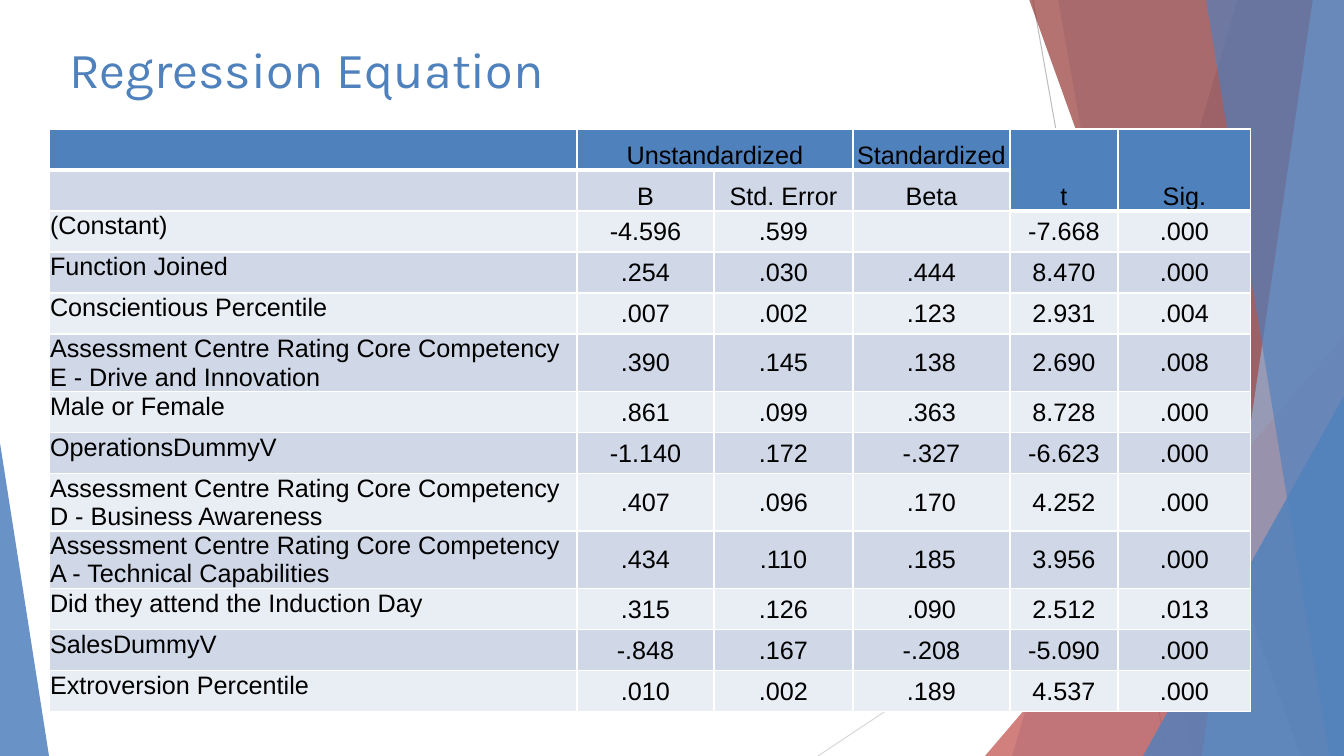
"""Build the Regression Equation slide with its coefficient table."""
from lxml import etree
from pptx import Presentation
from pptx import util as u
from pptx.dml.color import RGBColor
from pptx.enum import shapes, text
from pptx.oxml.ns import qn

PX = 914400 / 100.8
BLUE, RED, DARK_RED, PALE_BLUE = "4F81BD", "C0504D", "953735", "95B3D7"
BAND, LIGHT = "D0D8E8", "E9EDF4"


def px(n):
    return u.Emu(round(n * PX))


def paint(fill, color, alpha=100):
    fill.solid()
    fill.fore_color.rgb = RGBColor.from_string(color)
    if alpha < 100:
        clr = fill._xPr.find(qn("a:solidFill"))[0]
        etree.SubElement(clr, qn("a:alpha"), val=str(alpha * 1000))


prs = Presentation()
prs.slide_width, prs.slide_height = px(1344), px(756)
s = prs.slides.add_slide(prs.slide_layouts[5])

for x1, y1, x2, y2, color in [
    (1033, 0, 1167, 756, "BFBFBF"),
    (1344, 406, 818, 756, "D9D9D9"),
]:
    line = s.shapes.add_connector(shapes.MSO_CONNECTOR.STRAIGHT, px(x1), px(y1), px(x2), px(y2))
    paint(line.line.fill, color)
    line.line.width = u.Pt(0.75)
    etree.SubElement(line._element.spPr, qn("a:effectLst"))

# Facets run to the right edge: (top x, bottom x, colour, alpha).
# Triangles are (left, top, width, height, apex, colour, alpha).
for *box, color, alpha in [
    (1238, 1012, BLUE, 30),
    (1058, 1192, BLUE, 20),
    (985, 336, 359, 420, 1, RED, 72),
    (1029, 1301, DARK_RED, 70),
    (1313, 1202, PALE_BLUE, 70),
    (1206, 1329, BLUE, 65),
    (1143, 396, 201, 360, 1, BLUE, 80),
    (0, 443, 49, 313, 0, BLUE, 85),
]:
    if len(box) == 2:
        top_x, bottom_x = box
        outline = s.shapes.build_freeform(top_x, -1, scale=PX)
        outline.add_line_segments([(1344, -1), (1344, 756), (bottom_x, 756)])
        sp = outline.convert_to_shape()
    else:
        *frame, apex = box
        sp = s.shapes.add_shape(shapes.MSO_SHAPE.ISOSCELES_TRIANGLE, *map(px, frame))
        sp.adjustments[0] = apex
    paint(sp.fill, color, alpha)
    sp.line.fill.background()
    sp.shadow.inherit = False

title = s.shapes.title
title.left, title.top, title.width, title.height = map(px, (59, 33, 948, 88))
s.shapes._spTree.append(title._element)
tf = title.text_frame
tf.word_wrap = True
tf.auto_size = text.MSO_AUTO_SIZE.NONE
tf.vertical_anchor = text.MSO_ANCHOR.TOP
p = tf.paragraphs[0]
p.alignment = text.PP_ALIGN.LEFT
r = p.add_run()
r.text = "Regression Equation"
r.font.name, r.font.size = "Karla", u.Pt(36)
r.font.color.rgb = RGBColor.from_string(BLUE)

competency = "Assessment Centre Rating Core Competency "
rows = [
    ("", "Unstandardized", "", "Standardized", "t", "Sig."),
    ("", "B", "Std. Error", "Beta", "", ""),
    ("(Constant)", "-4.596", ".599", "", "-7.668", ".000"),
    ("Function Joined", ".254", ".030", ".444", "8.470", ".000"),
    ("Conscientious Percentile", ".007", ".002", ".123", "2.931", ".004"),
    (competency + "E - Drive and Innovation", ".390", ".145", ".138", "2.690", ".008"),
    ("Male or Female", ".861", ".099", ".363", "8.728", ".000"),
    ("OperationsDummyV", "-1.140", ".172", "-.327", "-6.623", ".000"),
    (competency + "D - Business Awareness", ".407", ".096", ".170", "4.252", ".000"),
    (competency + "A - Technical Capabilities", ".434", ".110", ".185", "3.956", ".000"),
    ("Did they attend the Induction Day", ".315", ".126", ".090", "2.512", ".013"),
    ("SalesDummyV", "-.848", ".167", "-.208", "-5.090", ".000"),
    ("Extroversion Percentile", ".010", ".002", ".189", "4.537", ".000"),
]
widths = [528, 137, 139, 157, 108, 133]
heights = [57 if row[0].startswith(competency) else 41 for row in rows]
table = s.shapes.add_table(len(rows), len(widths), px(49), px(129),
                           px(sum(widths)), px(sum(heights))).table
for col, width in zip(table.columns, widths):
    col.width = px(width)
for row, height in zip(table.rows, heights):
    row.height = px(height)

for i, row in enumerate(rows):
    for j, value in enumerate(row):
        cell = table.cell(i, j)
        header = i == 0 or (i == 1 and j > 3)
        cell.margin_left = cell.margin_right = cell.margin_top = px(1)
        cell.margin_bottom = 0
        if i < 2:
            cell.vertical_anchor = text.MSO_ANCHOR.BOTTOM
        elif j:
            cell.vertical_anchor = text.MSO_ANCHOR.MIDDLE
        tcPr = cell._tc.get_or_add_tcPr()
        for side in ("lnL", "lnR", "lnT", "lnB"):
            weight = 3 if header and side == "lnB" else 1
            ln = etree.SubElement(tcPr, qn("a:" + side), w=str(u.Pt(weight)))
            etree.SubElement(etree.SubElement(ln, qn("a:solidFill")), qn("a:srgbClr"), val="FFFFFF")
        paint(cell.fill, BLUE if header else LIGHT if i and i % 2 == 0 else BAND)
        if value:
            p = cell.text_frame.paragraphs[0]
            p.alignment = text.PP_ALIGN.CENTER if j else text.PP_ALIGN.LEFT
            r = p.add_run()
            r.text = value
            r.font.name, r.font.size, r.font.bold = "Arial", u.Pt(18), False
            r.font.color.rgb = RGBColor.from_string("000000")

table.cell(0, 1).merge(table.cell(0, 2))
for j in (4, 5):
    table.cell(0, j).merge(table.cell(1, j))

prs.save("out.pptx")
